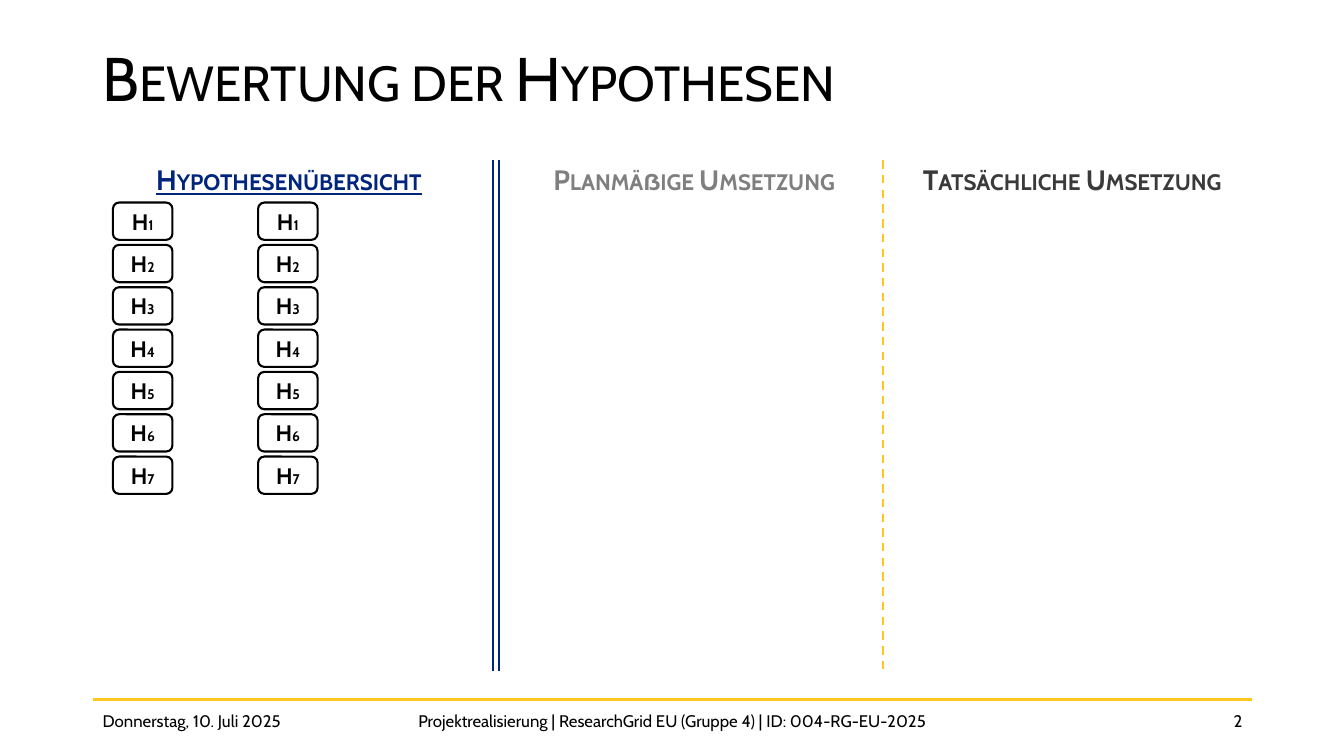
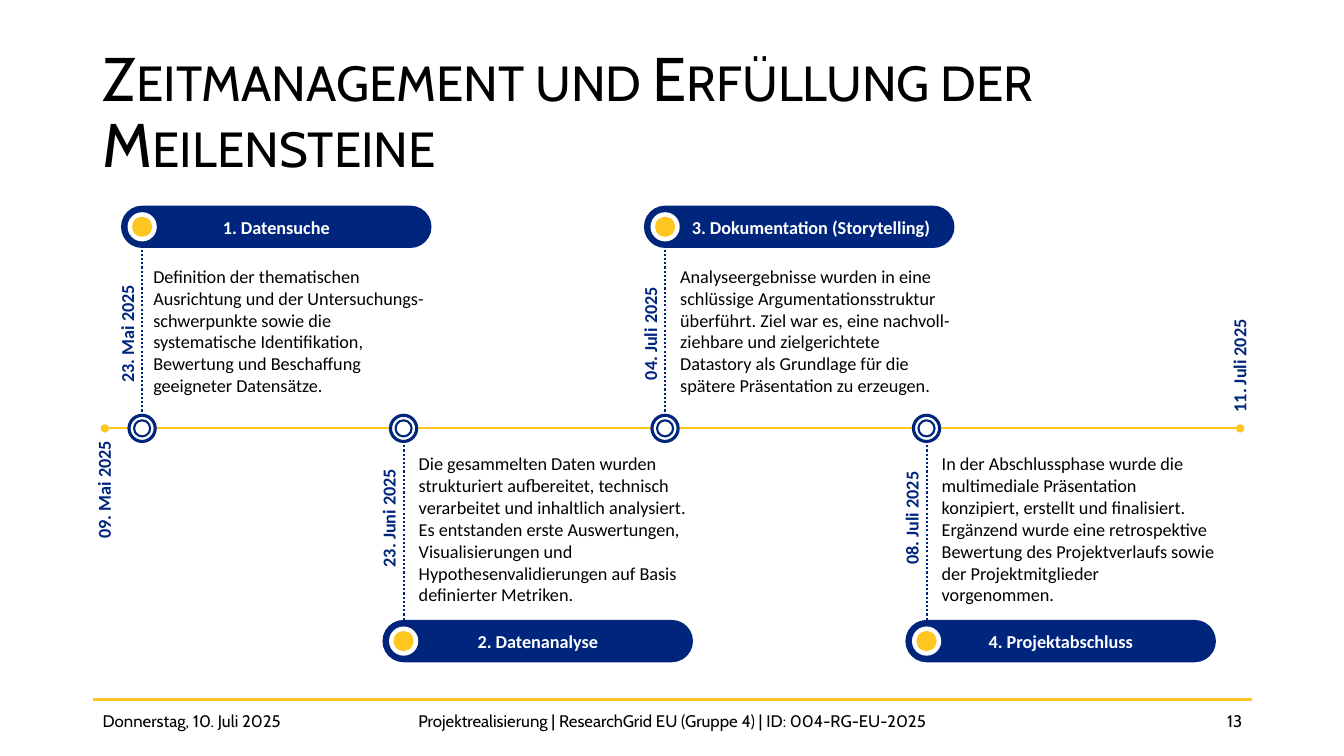
from pptx import Presentation
from pptx.dml.color import RGBColor
from pptx.enum.dml import MSO_LINE_DASH_STYLE as Dash
from pptx.enum.shapes import MSO_CONNECTOR as Link, MSO_SHAPE as Kind
from pptx.enum.text import MSO_ANCHOR as Anchor, PP_ALIGN as Align
from pptx.oxml.ns import qn
from pptx.util import Inches, Pt
from lxml.etree import SubElement

NAVY = RGBColor(0x00, 0x25, 0x7C)
GOLD = RGBColor(0xFF, 0xC6, 0x20)
BLACK = RGBColor(0x00, 0x00, 0x00)
WHITE = RGBColor(0xFF, 0xFF, 0xFF)
GRAY = RGBColor(0x7F, 0x7F, 0x7F)
DARK = RGBColor(0x3A, 0x3A, 0x3A)

HEAD = "Cabin"
BODY = "Calibri"
DATE = "Donnerstag, 10. Juli 2025"
PROJECT = "Projektrealisierung | ResearchGrid EU (Gruppe 4) | ID: 004-RG-EU-2025"

AXIS = 4.25  # height of the time axis
FIRST, LAST = 1.41, 9.19  # centres of the outer milestones
PILL_W, PILL_H = 3.08, 0.42

# title, date, text, gap from axis to text, left inset of the title
STEPS = [
    ("1. Datensuche", "23. Mai 2025",
     "Definition der thematischen Ausrichtung und der Untersuchungs-"
     "schwerpunkte sowie die systematische Identifikation, Bewertung und "
     "Beschaffung geeigneter Datensätze.", 0.09, 0.1),
    ("2. Datenanalyse", "23. Juni 2025",
     "Die gesammelten Daten wurden strukturiert aufbereitet, technisch "
     "verarbeitet und inhaltlich analysiert. Es entstanden erste "
     "Auswertungen, Visualisierungen und Hypothesenvalidierungen auf Basis "
     "definierter Metriken.", 0.13, 0.1),
    ("3. Dokumentation (Storytelling)", "04. Juli 2025",
     "Analyseergebnisse wurden in eine schlüssige Argumentationsstruktur "
     "überführt. Ziel war es, eine nachvoll-ziehbare und zielgerichtete "
     "Datastory als Grundlage für die spätere Präsentation zu erzeugen.",
     0.13, 0.33),
    ("4. Projektabschluss", "08. Juli 2025",
     "In der Abschlussphase wurde die multimediale Präsentation konzipiert, "
     "erstellt und finalisiert. Ergänzend wurde eine retrospektive Bewertung "
     "des Projektverlaufs sowie der Projektmitglieder vorgenommen.",
     0.13, 0.1),
]


class Deck:
    """Holds the shared style and the current slide."""

    def __init__(self):
        self.prs = Presentation()
        self.prs.slide_width = Inches(13.33)
        self.prs.slide_height = Inches(7.5)
        self.slide = None

    def start(self, title, top, page):
        """Add a slide with title, footer rule and footer texts."""
        self.slide = self.prs.slides.add_slide(self.prs.slide_layouts[6])
        self.line(0.92, 6.94, 12.42, 6.94, GOLD)
        frame = self.text((0.92, top, 11.5, 1.45), title, 44,
                          anchor=Anchor.MIDDLE, small=True)
        frame.text_frame.paragraphs[0].line_spacing = 0.9
        for left, width, words, align in (
                (0.92, 3, DATE, Align.LEFT),
                (3.82, 5.7, PROJECT, Align.CENTER),
                (9.42, 3, page, Align.RIGHT)):
            self.text((left, 6.95, width, 0.4), words, 12, align=align,
                      anchor=Anchor.MIDDLE)

    def run(self, par, words, size, font=HEAD, color=BLACK, bold=False,
            under=False, small=False):
        run = par.add_run()
        run.text = words
        face = run.font
        face.name, face.size, face.bold = font, Pt(size), bold
        face.color.rgb = color
        if under:
            face.underline = True
        if small:
            run._r.get_or_add_rPr().set("cap", "small")

    def text(self, box, words, size, align=Align.LEFT, anchor=Anchor.TOP,
             pad=None, **style):
        """Add a text box; pad gives its side insets and clears the others."""
        shape = self.slide.shapes.add_textbox(*map(Inches, box))
        frame = shape.text_frame
        frame.word_wrap = True
        frame.vertical_anchor = anchor
        if pad is not None:
            frame.margin_left = frame.margin_right = Inches(pad)
            frame.margin_top = frame.margin_bottom = 0
        par = frame.paragraphs[0]
        par.alignment = align
        self.run(par, words, size, **style)
        return shape

    def shape(self, kind, box, fill=None, line=None, width=1.5):
        shape = self.slide.shapes.add_shape(kind, *map(Inches, box))
        shape.shadow.inherit = False
        if fill is None:
            shape.fill.background()
        else:
            shape.fill.solid()
            shape.fill.fore_color.rgb = fill
        if line is None:
            shape.line.fill.background()
        else:
            shape.line.color.rgb = line
            shape.line.width = Pt(width)
        return shape

    def label(self, shape):
        """Centre the text of a shape and return its paragraph."""
        frame = shape.text_frame
        frame.word_wrap = True
        frame.vertical_anchor = Anchor.MIDDLE
        par = frame.paragraphs[0]
        par.alignment = Align.CENTER
        return par

    def disc(self, x, y, size, fill, line=None, width=1.5):
        """Add a circle around the centre x, y."""
        box = (x - size / 2, y - size / 2, size, size)
        self.shape(Kind.OVAL, box, fill, line, width)

    def line(self, x1, y1, x2, y2, color, dash=None, ends=False):
        line = self.slide.shapes.add_connector(
            Link.STRAIGHT, *map(Inches, (x1, y1, x2, y2)))
        line.line.color.rgb = color
        line.line.width = Pt(1.5)
        if dash is not None:
            line.line.dash_style = dash
        if ends:
            for tag in ("a:headEnd", "a:tailEnd"):
                SubElement(line.line._get_or_add_ln(), qn(tag), type="oval")
        SubElement(line._element.spPr, qn("a:effectLst"))

    def date(self, x, y, words):
        """Add an upright date around the centre x, y."""
        box = (x - 0.61, y - 0.11, 1.22, 0.22)
        self.text(box, words, 13, align=Align.CENTER, pad=0, font=BODY,
                  color=NAVY, bold=True).rotation = 270

    def badge(self, left, top, num):
        par = self.label(self.shape(Kind.ROUNDED_RECTANGLE,
                                    (left, top, 0.59, 0.37), line=BLACK))
        self.run(par, "H", 16, bold=True)
        self.run(par, str(num), 10, bold=True)

    def step(self, x, upper, title, date, words, gap, inset):
        """Add one milestone above or below the axis."""
        top = 2.04 if upper else 6.15
        mid = top + PILL_H / 2
        left = x - PILL_H / 2
        self.line(x, AXIS, x, mid, NAVY, Dash.ROUND_DOT)
        self.disc(x, AXIS, 0.26, WHITE, NAVY, 2.25)
        self.disc(x, AXIS, 0.16, WHITE, NAVY)
        pill = self.shape(Kind.ROUNDED_RECTANGLE,
                          (left, top, PILL_W, PILL_H), NAVY)
        pill.adjustments[0] = 0.5
        pill.text_frame.margin_left = Inches(inset)
        self.run(self.label(pill), title, 13, BODY, WHITE, True)
        self.disc(x, mid, 0.29, WHITE)
        self.disc(x, mid, 0.2, GOLD)
        box = (x + gap, 2.63 if upper else 4.49,
               left + PILL_W - x - gap, 1.31 if upper else 1.53)
        self.text(box, words, 13, pad=0.02, font=BODY)
        self.date(x - 0.15, 3.31 if upper else 5.14, date)


def review(deck):
    deck.start("Bewertung der Hypothesen", 0.08, "2")
    for left, width, words, color, under in (
            (1.12, 3.49, "Hypothesenübersicht", NAVY, True),
            (5.22, 3.33, "Planmäßige Umsetzung", GRAY, False),
            (8.97, 3.33, "Tatsächliche Umsetzung", DARK, False)):
        deck.text((left, 1.56, width, 0.44), words, 20, align=Align.CENTER,
                  color=color, bold=True, under=under, small=True)
    for left in (1.12, 2.56):
        for row in range(7):
            deck.badge(left, 2.01 + 0.42 * row, row + 1)
    for x, color, dash in ((4.89, NAVY, None), (4.95, NAVY, None),
                           (8.76, GOLD, Dash.DASH)):
        deck.line(x, 1.59, x, 6.66, color, dash)


def timeline(deck):
    deck.start("Zeitmanagement und Erfüllung der Meilensteine", 0.41, "13")
    deck.line(1.04, AXIS, 12.3, AXIS, GOLD, ends=True)
    pitch = (LAST - FIRST) / (len(STEPS) - 1)
    for i, step in enumerate(STEPS):
        deck.step(FIRST + pitch * i, i % 2 == 0, *step)
    deck.date(1.03, 4.86, "09. Mai 2025")
    deck.date(12.29, 3.63, "11. Juli 2025")


def main():
    deck = Deck()
    review(deck)
    timeline(deck)
    deck.prs.save("out.pptx")


if __name__ == "__main__":
    main()
